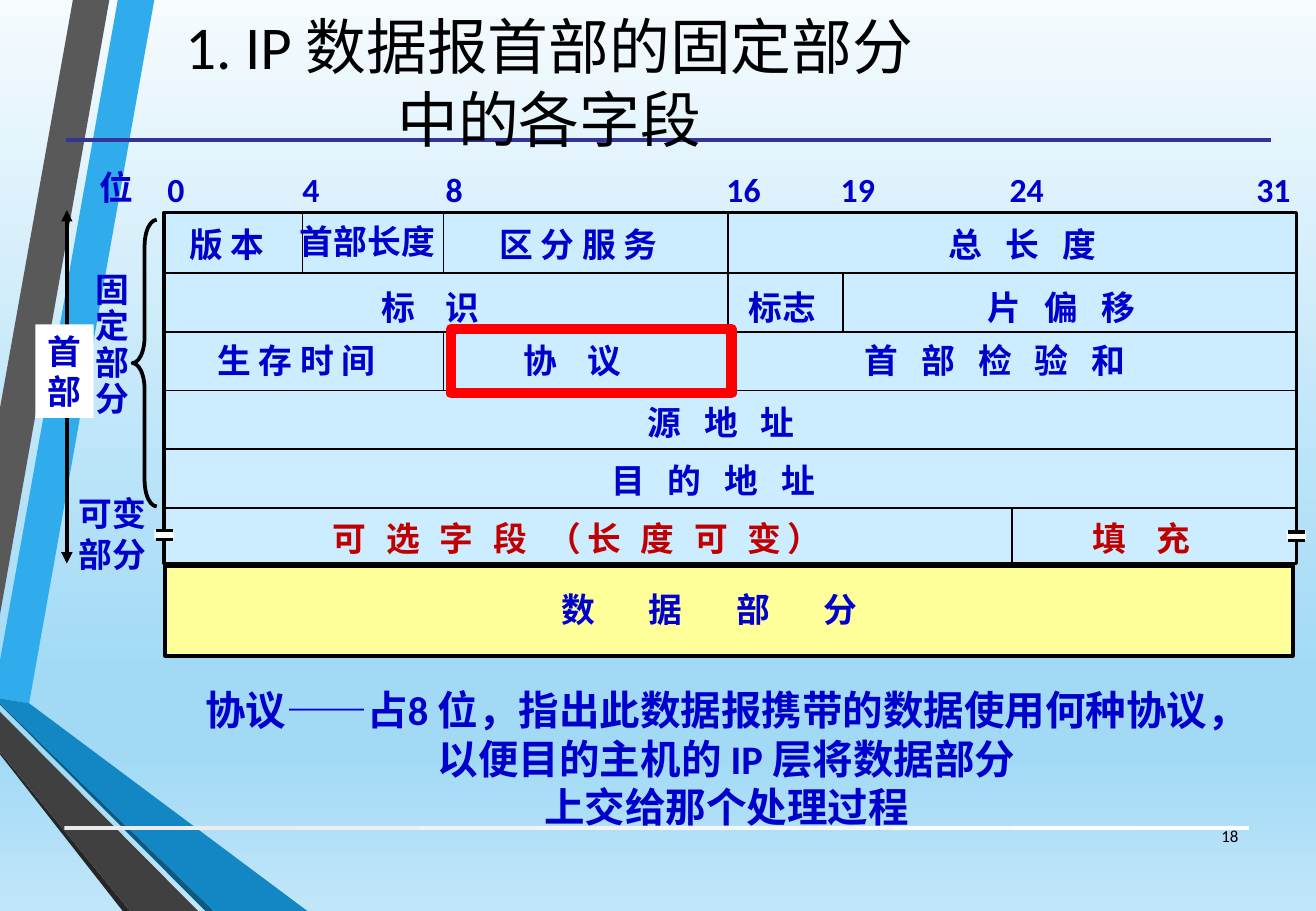
"""Build the slide on the fixed fields of the IP datagram header."""
from dataclasses import dataclass

import lxml.etree
import pptx
import pptx.dml.color
import pptx.enum.shapes
import pptx.enum.text
import pptx.oxml.ns
import pptx.util

Inches = pptx.util.Inches
RGBColor = pptx.dml.color.RGBColor
Preset = pptx.enum.shapes.MSO_SHAPE
Align = pptx.enum.text.PP_ALIGN
Anchor = pptx.enum.text.MSO_ANCHOR
AutoSize = pptx.enum.text.MSO_AUTO_SIZE
qn = pptx.oxml.ns.qn

FONT = "Calibri"
BLACK = RGBColor(0x00, 0x00, 0x00)
WHITE = RGBColor(0xFF, 0xFF, 0xFF)
SILVER = RGBColor(0xEB, 0xEB, 0xEB)
BLUE = RGBColor(0x00, 0x00, 0xCC)
CRIMSON = RGBColor(0xC0, 0x00, 0x00)
RED = RGBColor(0xFF, 0x00, 0x00)
INDIGO = RGBColor(0x33, 0x33, 0x99)
HEADER_FILL = RGBColor(0xCC, 0xEC, 0xFF)
DATA_FILL = RGBColor(0xFF, 0xFF, 0x99)
SKY_STOPS = [
    (0, RGBColor(0xF5, 0xFB, 0xFE)),
    (74, RGBColor(0xA2, 0xDA, 0xF6)),
    (83, RGBColor(0xA2, 0xDA, 0xF6)),
    (100, RGBColor(0xC1, 0xE6, 0xF9)),
]
ROW_TOP, ROW_BOTTOM, ROW_LINES = 2.25, 4.18, 5
WIDE, WIDER, WIDEST = 4.5, 6.8, 13.6


@dataclass
class Ribbon:
    color: RGBColor
    points: list[tuple[float, float]]


@dataclass
class Label:
    text: str
    left: float
    top: float
    width: float
    height: float = 0.43
    tracking: float = 0
    color: RGBColor = BLUE
    line_spacing: float = 1.0
    fill: RGBColor | None = None


@dataclass
class Rule:
    start: tuple[float, float]
    end: tuple[float, float]
    weight: float = 1
    color: RGBColor = BLACK
    arrows: bool = False


RIBBONS = [
    Ribbon(RGBColor(0x30, 0xAC, 0xEC),
           [(0, 5.44), (0, 5.75), (0.24, 5.79), (1.27, 0), (0.97, 0)]),
    Ribbon(RGBColor(0x59, 0x59, 0x59), [(0.9, 0), (0.6, 0), (0, 3.36), (0, 5.06)]),
    Ribbon(RGBColor(0x26, 0x26, 0x26), [(0, 6.19), (0, 6.21), (1.01, 7.5), (1.07, 7.5)]),
    Ribbon(RGBColor(0x0C, 0x5A, 0x82), [(0, 5.79), (0, 5.8), (1.69, 7.5), (1.76, 7.5)]),
    Ribbon(RGBColor(0x12, 0x87, 0xC3),
           [(0, 5.79), (1.76, 7.5), (2.53, 7.5), (0.24, 5.79), (0, 5.75)]),
    Ribbon(RGBColor(0x40, 0x40, 0x40), [(0, 6.19), (1.07, 7.5), (1.63, 7.5), (0, 5.86)]),
]
COLUMN_LINES = [(2.49, 1.76, 2.25), (3.65, 1.76, 2.25), (3.65, 2.74, 3.21),
                (5.99, 1.76, 3.21), (8.33, 4.18, 4.66), (6.94, 2.26, 2.73)]
BIT_MARKS = [("0", 1.28), ("4", 2.39), ("8", 3.57), ("16", 5.88),
             ("19", 6.82), ("24", 8.21), ("31", 10.24)]
BREAK_MARKS = [(1.27, 4.36), (10.59, 4.37)]
LABELS = [
    Label("固\n定\n部\n分", 0.69, 2.2, 0.48, 1.31, line_spacing=0.9),
    Label("可变\n部分", 0.55, 4.01, 0.76, 0.77),
    Label("首\n部", 0.29, 2.67, 0.48, 0.77, fill=WHITE),
    Label("位", 0.72, 1.32, 0.48),
    Label("版 本", 1.46, 1.79, 0.84),
    Label("首部长度", 2.37, 1.77, 1.32),
    Label("区 分 服 务", 4.01, 1.79, 1.56),
    Label("总 长 度", 7.71, 1.79, 1.51, tracking=WIDE),
    Label("标 识", 3.04, 2.31, 1.07, tracking=WIDER),
    Label("标志", 6.06, 2.31, 0.76),
    Label("片 偏 移", 8.03, 2.31, 1.51, tracking=WIDE),
    Label("生 存 时 间", 1.69, 2.75, 1.56),
    Label("协 议", 4.21, 2.75, 1.07, tracking=WIDER),
    Label("首 部 检 验 和", 7.02, 2.75, 2.54, tracking=WIDE),
    Label("源 地 址", 5.23, 3.26, 1.51, tracking=WIDE),
    Label("目 的 地 址", 4.93, 3.74, 2.02, tracking=WIDE),
    Label("可 选 字 段 （长 度 可 变）", 2.64, 4.21, 4.56, tracking=3.6, color=CRIMSON),
    Label("填 充", 8.89, 4.21, 1.07, tracking=WIDER, color=CRIMSON),
    Label("数 据 部 分", 4.52, 4.8, 3.45, tracking=WIDEST),
]


def set_gradient(fill, element, stops: list[tuple[int, RGBColor]], angle: float) -> None:
    fill.gradient()
    fill.gradient_angle = angle
    stop_list = next(element.iter(qn("a:gsLst")))
    stop_list.clear()
    for position, color in stops:
        stop = lxml.etree.SubElement(stop_list, qn("a:gs"), pos=str(position * 1000))
        lxml.etree.SubElement(stop, qn("a:srgbClr"), val=str(color))


def style_shape(shape, fill: RGBColor | None, line: RGBColor | None = None,
                weight: float = 1) -> None:
    shape.shadow.inherit = False
    if fill is None:
        shape.fill.background()
    else:
        shape.fill.solid()
        shape.fill.fore_color.rgb = fill
    if line is None:
        shape.line.fill.background()
    else:
        shape.line.color.rgb = line
        shape.line.width = pptx.util.Pt(weight)


def add_preset(page, preset, left: float, top: float, width: float, height: float,
               fill: RGBColor | None, line: RGBColor | None = None, weight: float = 1):
    shape = page.shapes.add_shape(
        preset, Inches(left), Inches(top), Inches(width), Inches(height))
    style_shape(shape, fill, line, weight)
    return shape


def add_ribbon(page, ribbon: Ribbon) -> None:
    points = [(Inches(x), Inches(y)) for x, y in ribbon.points]
    builder = page.shapes.build_freeform(*points[0])
    builder.add_line_segments(points[1:], close=True)
    style_shape(builder.convert_to_shape(), ribbon.color)


def add_rule(page, rule: Rule) -> None:
    line = page.shapes.add_connector(
        pptx.enum.shapes.MSO_CONNECTOR.STRAIGHT,
        *(Inches(value) for value in (*rule.start, *rule.end)))
    line.line.color.rgb = rule.color
    line.line.width = pptx.util.Pt(rule.weight)
    properties = line.element.spPr
    if rule.arrows:
        for end in ("a:headEnd", "a:tailEnd"):
            lxml.etree.SubElement(properties.find(qn("a:ln")), qn(end), type="triangle")
    lxml.etree.SubElement(properties, qn("a:effectLst"))


def format_text(frame, size: float, color: RGBColor, bold: bool, align=Align.LEFT,
                spacing: float = 1.0, tracking: float = 0) -> None:
    for para in frame.paragraphs:
        para.alignment = align
        para.line_spacing = spacing
        for span in para.runs:
            span.font.name = FONT
            span.font.size = pptx.util.Pt(size)
            span.font.bold = bold
            span.font.color.rgb = color
            if tracking:
                span.font._element.set("spc", str(round(tracking * 100)))


def add_box(page, text: str, left: float, top: float, width: float, height: float):
    box = page.shapes.add_textbox(Inches(left), Inches(top), Inches(width), Inches(height))
    box.text_frame.text = text
    box.text_frame.word_wrap = True
    return box


def add_label(page, label: Label) -> None:
    box = add_box(page, label.text, label.left, label.top, label.width, label.height)
    box.text_frame.word_wrap = False
    box.text_frame.auto_size = AutoSize.SHAPE_TO_FIT_TEXT
    format_text(box.text_frame, 20, label.color, True,
                spacing=label.line_spacing, tracking=label.tracking)
    if label.fill is not None:
        box.fill.solid()
        box.fill.fore_color.rgb = label.fill


def add_title(page) -> None:
    title = page.shapes.title
    title.left, title.top = Inches(0.43), Inches(0.05)
    title.width, title.height = Inches(8.18), Inches(1.24)
    frame = title.text_frame
    frame.text = "1. IP 数据报首部的固定部分\v中的各字段"
    frame.auto_size = AutoSize.NONE
    frame.vertical_anchor = Anchor.MIDDLE
    format_text(frame, 36, BLACK, False, Align.CENTER)
    title.element.getparent().append(title.element)


def main() -> None:
    deck = pptx.Presentation()
    deck.slide_width, deck.slide_height = Inches(10.83), Inches(7.5)
    page = deck.slides.add_slide(deck.slide_layouts[5])
    set_gradient(page.background.fill, page.element, SKY_STOPS, 270)
    for ribbon in RIBBONS:
        add_ribbon(page, ribbon)
    footer_bar = add_preset(page, Preset.RECTANGLE, 0.53, 6.8, 9.75, 0.03, WHITE)
    set_gradient(footer_bar.fill, footer_bar.element, [(0, SILVER), (100, WHITE)], 0)
    add_rule(page, Rule((0.54, 1.15), (10.46, 1.15), 2.25, INDIGO))

    add_preset(page, Preset.RECTANGLE, 1.35, 1.75, 9.32, 2.89, HEADER_FILL, BLACK, 2)
    add_preset(page, Preset.RECTANGLE, 1.36, 4.66, 9.28, 0.74, DATA_FILL, BLACK, 2.25)
    for row in range(ROW_LINES):
        y = ROW_TOP + row * (ROW_BOTTOM - ROW_TOP) / (ROW_LINES - 1)
        add_rule(page, Rule((1.34, y), (10.68, y)))
    for x, top, bottom in COLUMN_LINES:
        add_rule(page, Rule((x, top), (x, bottom)))
    for left, top in BREAK_MARKS:
        add_preset(page, Preset.RECTANGLE, left, top, 0.16, 0.08, WHITE)
        for y in (top + 0.01, top + 0.08):
            add_rule(page, Rule((left + 0.01, y), (left + 0.15, y), 2))
    add_rule(page, Rule((0.55, 1.73), (0.55, 4.64), 2.25, arrows=True))
    brace = add_preset(page, Preset.LEFT_BRACE, 1.09, 1.81, 0.2, 2.36, None, BLACK, 2.25)
    brace.adjustments[0] = 1.08

    for label in [Label(bit, left, 1.34, 0.36 if len(bit) == 1 else 0.51)
                  for bit, left in BIT_MARKS] + LABELS:
        add_label(page, label)
    note = add_box(page, "协议——占8 位，指出此数据报携带的数据使用何种协议，\n"
                   "以便目的主机的 IP 层将数据部分\n上交给那个处理过程", 1.46, 5.59, 9.04, 1.31)
    format_text(note.text_frame, 24, BLUE, True, Align.CENTER)
    add_preset(page, Preset.RECTANGLE, 3.71, 2.71, 2.31, 0.53, None, RED, 6)
    add_title(page)
    number = add_box(page, "18", 9.78, 6.68, 0.51, 0.4)
    number.text_frame.vertical_anchor = Anchor.MIDDLE
    format_text(number.text_frame, 10, BLACK, False, Align.RIGHT)
    deck.save("out.pptx")


if __name__ == "__main__":
    main()
